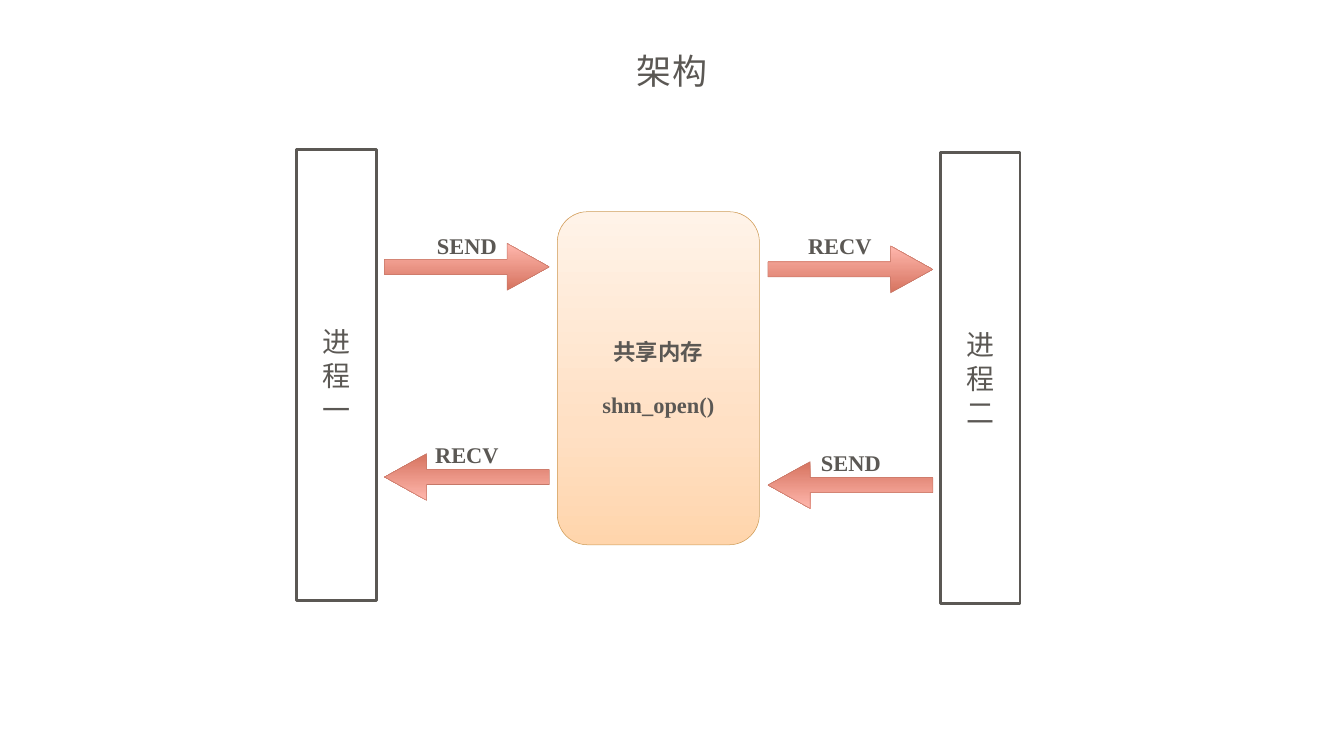
import copy

import pptx
import pptx.dml.color
import pptx.enum.shapes
import pptx.enum.text
import pptx.util

Inches = pptx.util.Inches
Pt = pptx.util.Pt
Shape = pptx.enum.shapes.MSO_SHAPE
Anchor = pptx.enum.text.MSO_ANCHOR
Fit = pptx.enum.text.MSO_AUTO_SIZE
rgb = pptx.dml.color.RGBColor.from_string
INK = "5B5854"


def write(frame, lines, size, bold=False, track=0, gap=0, anchor=Anchor.MIDDLE):
    """Fill a text frame with centred lines; track and gap are in points."""
    frame.vertical_anchor = anchor
    frame.margin_left = frame.margin_right = Inches(0.08)
    frame.margin_top = frame.margin_bottom = Inches(0.08)
    for i, line in enumerate(lines):
        para = frame.paragraphs[0] if i == 0 else frame.add_paragraph()
        para.alignment = pptx.enum.text.PP_ALIGN.CENTER
        if i and gap:
            para.space_before = Pt(gap)
        run = para.add_run()
        run.text = line
        run.font.name = "Times New Roman"
        run.font.size = Pt(size)
        run.font.bold = bold
        run.font.color.rgb = rgb(INK)
        if track:
            run._r.get_or_add_rPr().set("spc", str(int(track * 100)))


def paint(shape, stops, angle, edge):
    """Give a shape a gradient of (position, colour) stops and a thin edge."""
    shape.shadow.inherit = False
    fill = shape.fill
    fill.gradient()
    fill.gradient_angle = angle
    grad = fill._fill._gradFill.gsLst
    while len(grad) < len(stops):
        grad.append(copy.deepcopy(grad[-1]))
    for stop, (place, color) in zip(fill.gradient_stops, stops):
        stop.position = place
        stop.color.rgb = rgb(color)
    shape.line.color.rgb = rgb(edge)
    shape.line.width = Pt(0.75)


deck = pptx.Presentation()
deck.slide_width = Inches(26.67)
deck.slide_height = Inches(15)
slide = deck.slides.add_slide(deck.slide_layouts[5])
shapes = slide.shapes

title = shapes.title
title.left, title.top = Inches(4.37), Inches(0.9)
title.width, title.height = Inches(17.93), Inches(1.15)
title.text_frame.auto_size = Fit.NONE
write(title.text_frame, ["架构"], 50, track=1, anchor=Anchor.TOP)

# The two processes
for left, top, name in [(5.89, 2.97, "进程一"), (18.66, 3.03, "进程二")]:
    group = shapes.add_group_shape()
    frame = group.shapes.add_shape(
        Shape.RECTANGLE, Inches(left), Inches(top), Inches(1.58), Inches(8.95))
    frame.shadow.inherit = False
    frame.fill.background()
    frame.line.color.rgb = rgb(INK)
    frame.line.width = Pt(4)
    label = group.shapes.add_textbox(
        Inches(left), Inches(top + 2.03), Inches(1.58), Inches(4.89))
    label.text_frame.word_wrap = True
    write(label.text_frame, name, 40, track=0.8)

# The memory they share
memory = shapes.add_shape(
    Shape.ROUNDED_RECTANGLE, Inches(11.06), Inches(4.2), Inches(4.01), Inches(6.61))
memory.adjustments[0] = 0.15
paint(memory, [(0, "FFD5AC"), (0.35, "FFE0C4"), (1, "FFF3E8")], 90, "CD9B56")
write(memory.text_frame, ["共享内存", "shm_open()"], 32, bold=True, gap=37)

# Arrows with their labels: left, top, kind, angle, word, label left, label top
flows = [
    (7.63, 4.83, Shape.RIGHT_ARROW, 90, "SEND", 8.55, 4.53),
    (15.24, 4.88, Shape.RIGHT_ARROW, 90, "RECV", 15.95, 4.53),
    (7.63, 9, Shape.LEFT_ARROW, 270, "RECV", 8.55, 8.67),
    (15.24, 9.16, Shape.LEFT_ARROW, 270, "SEND", 16.17, 8.83),
]
for left, top, kind, angle, word, x, y in flows:
    arrow = shapes.add_shape(
        kind, Inches(left), Inches(top), Inches(3.27), Inches(0.93))
    arrow.adjustments[0] = 0.32
    arrow.adjustments[1] = 0.9
    paint(arrow, [(0, "D6735F"), (1, "FFB7AD")], angle, "C67868")
    label = shapes.add_textbox(Inches(x), Inches(y), Inches(1.43), Inches(0.67))
    label.text_frame.word_wrap = False
    label.text_frame.auto_size = Fit.SHAPE_TO_FIT_TEXT
    write(label.text_frame, [word], 32, bold=True, anchor=Anchor.TOP)

deck.save("out.pptx")
